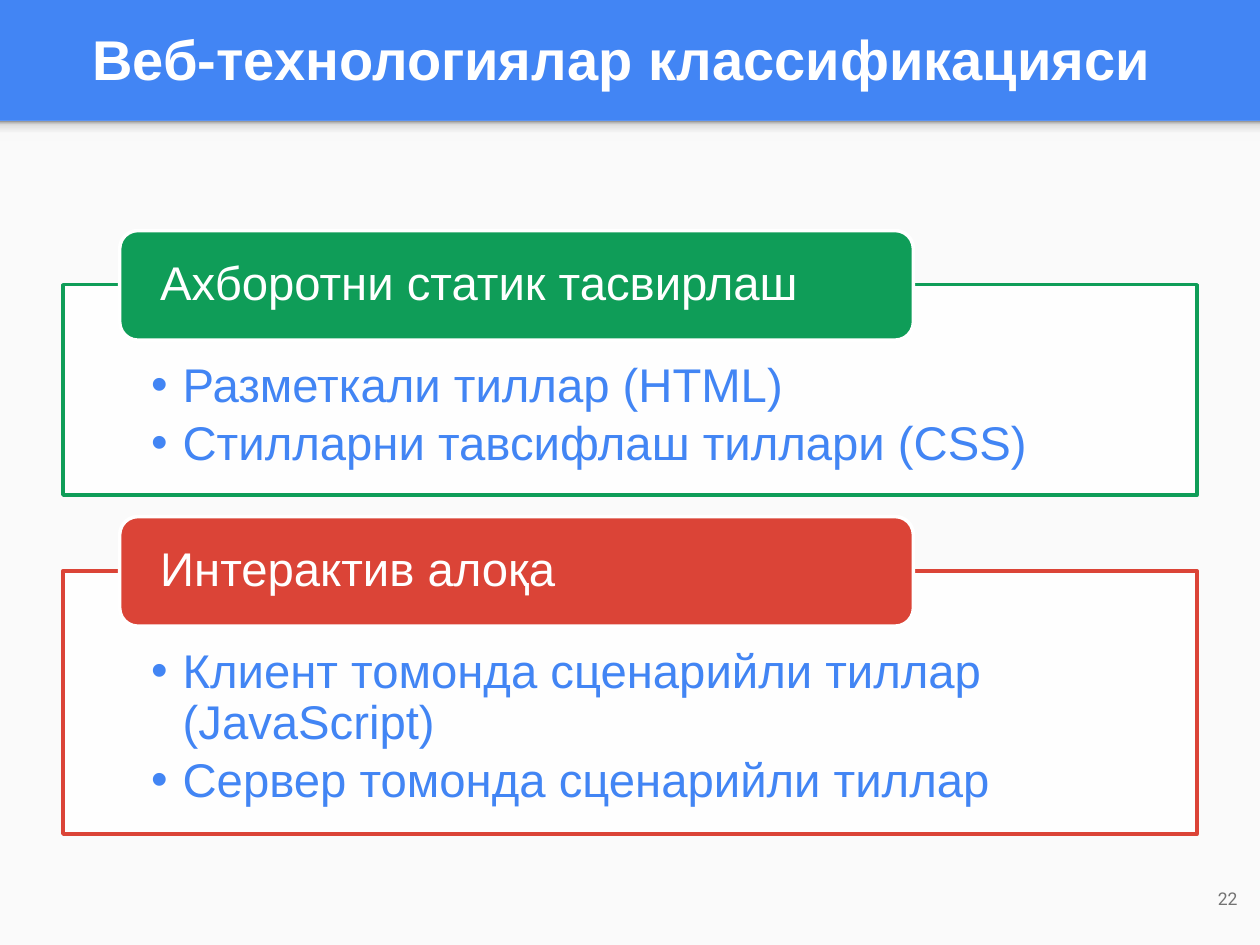
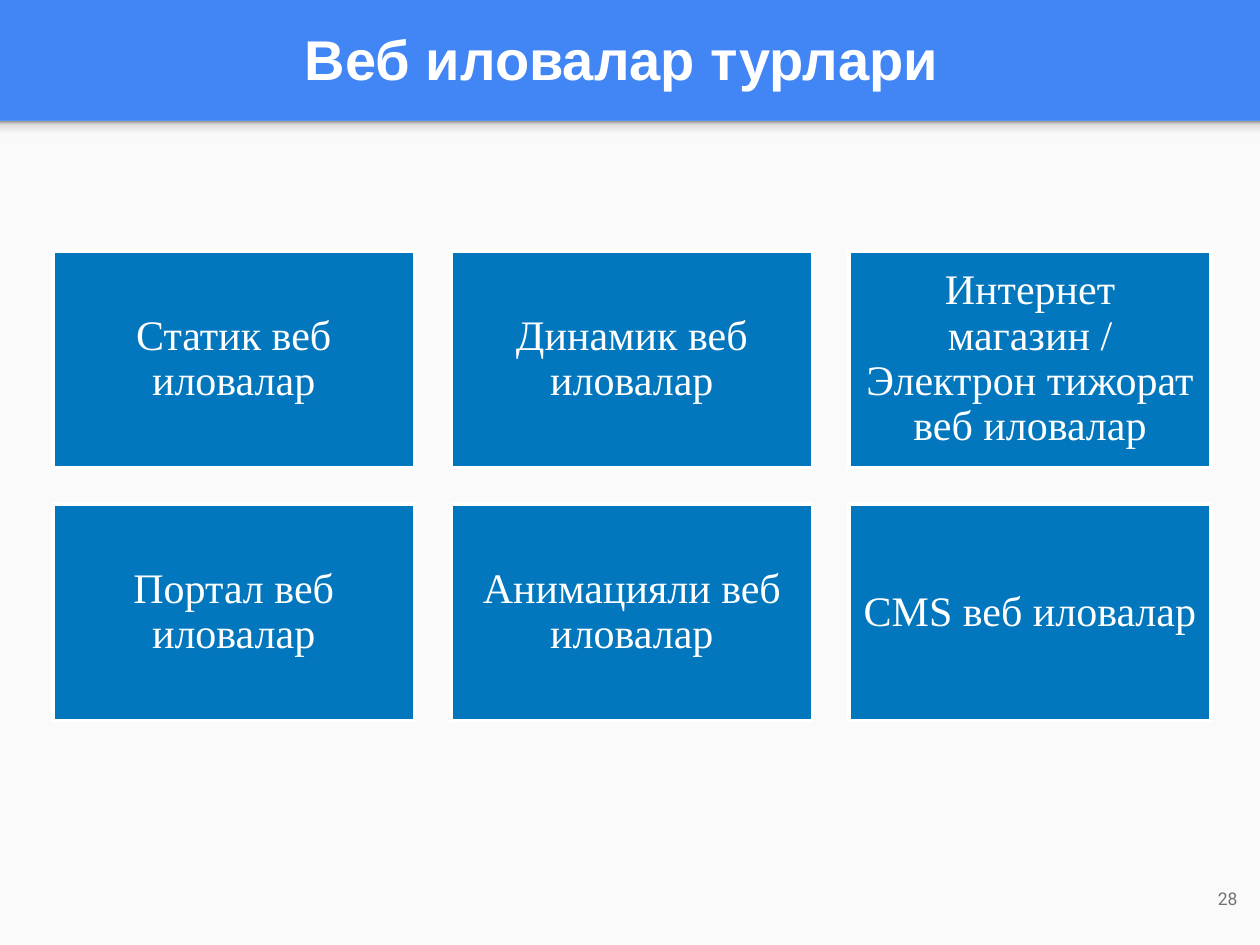
from copy import deepcopy

from lxml import etree
from pptx import Presentation
from pptx.dml.color import RGBColor
from pptx.enum import shapes, text
from pptx.oxml import ns
from pptx.util import Inches, Pt

BLUE = RGBColor(0x42, 0x85, 0xF4)
GREEN = RGBColor(0x0F, 0x9D, 0x58)
RED = RGBColor(0xDB, 0x44, 0x37)
TILE_BLUE = RGBColor(0x02, 0x77, 0xBD)
WHITE = RGBColor(0xFF, 0xFF, 0xFF)
PAPER = RGBColor(0xFA, 0xFA, 0xFA)
GREY = RGBColor(0x73, 0x73, 0x73)
SHADE_STOPS = [
    (0, RGBColor(0xF9, 0xF9, 0xF9)),
    (0.36, RGBColor(0xF9, 0xF9, 0xF9)),
    (0.8, RGBColor(0xDE, 0xDE, 0xDE)),
    (1, RGBColor(0x99, 0x99, 0x99)),
]
LEFT, CENTER, RIGHT = text.PP_ALIGN.LEFT, text.PP_ALIGN.CENTER, text.PP_ALIGN.RIGHT
RECT = shapes.MSO_SHAPE.RECTANGLE


def add_box(page, kind, left, top, width, height, fill=None, line=None):
    box = page.shapes.add_shape(
        kind, Inches(left), Inches(top), Inches(width), Inches(height))
    box.shadow.inherit = False
    if fill is not None:
        box.fill.solid()
        box.fill.fore_color.rgb = fill
    if line is None:
        box.line.fill.background()
    else:
        box.line.color.rgb = line
        box.line.width = Pt(2)
    return box


def write(box, lines, size, font="Arial", color=WHITE, bold=False, align=CENTER,
          anchor=text.MSO_ANCHOR.MIDDLE, insets=(0.1, 0.1, 0.1, 0.1),
          spacing=1.0, after=0, bullets=False):
    """Fill a shape with one paragraph per line; insets are left, top, right, bottom."""
    frame = box.text_frame
    frame.word_wrap = True
    frame.auto_size = text.MSO_AUTO_SIZE.NONE
    frame.vertical_anchor = anchor
    (frame.margin_left, frame.margin_top,
     frame.margin_right, frame.margin_bottom) = map(Inches, insets)
    for index, line in enumerate(lines):
        para = frame.add_paragraph() if index else frame.paragraphs[0]
        para.alignment = align
        para.line_spacing = spacing
        para.space_before = Pt(0)
        para.space_after = Pt(after)
        span = para.add_run()
        span.text = line
        span.font.name = font
        span.font.size = Pt(size)
        span.font.bold = bold
        span.font.color.rgb = color
        if bullets:
            props = para._p.get_or_add_pPr()
            props.set("marL", str(Inches(0.25)))
            props.set("indent", str(-Inches(0.25)))
            etree.SubElement(props, ns.qn("a:buFont"), typeface="Arial")
            etree.SubElement(props, ns.qn("a:buChar"), char="•")


deck = Presentation()
deck.slide_width, deck.slide_height = Inches(10), Inches(7.5)
title_only = deck.slide_layouts[5]

# Shared frame: blue title band, pale body, shade under the band, page number
pages = []
for heading, number in [("Веб-технологиялар классификацияси", "22"),
                        ("Веб иловалар турлари", "28")]:
    page = deck.slides.add_slide(title_only)
    page.background.fill.solid()
    page.background.fill.fore_color.rgb = BLUE

    add_box(page, RECT, 0, 0.96, 10, 6.54, PAPER)
    shade = add_box(page, RECT, 0, 0.96, 10, 0.16)
    shade.fill.gradient()
    shade.fill.gradient_angle = 90
    stop_list = shade._element.spPr.find(".//" + ns.qn("a:gsLst"))
    for _ in range(len(SHADE_STOPS) - len(stop_list)):
        stop_list.append(deepcopy(stop_list[0]))
    for stop, (position, color) in zip(shade.fill.gradient_stops, SHADE_STOPS):
        stop.position = position
        stop.color.rgb = color

    title = page.shapes.title
    title.left, title.top = Inches(0.11), Inches(0.02)
    title.width, title.height = Inches(9.65), Inches(0.88)
    write(title, [heading], 32, bold=True)

    number_box = page.shapes.add_textbox(
        Inches(9.32), Inches(6.85), Inches(0.6), Inches(0.57))
    write(number_box, [number], 10, font="Roboto", color=GREY, align=RIGHT)
    pages.append(page)

groups_page, tiles_page = pages

# Two outlined groups, each with a header tab over its top edge
groups = [
    ("Ахборотни статик тасвирлаш", GREEN, 2.26, 1.67,
     ["Разметкали тиллар (HTML)", "Стилларни тавсифлаш тиллари (CSS)"]),
    ("Интерактив алоқа", RED, 4.53, 2.09,
     ["Клиент томонда сценарийли тиллар (JavaScript)",
      "Сервер томонда сценарийли тиллар"]),
]
for header, color, top, height, items in groups:
    panel = add_box(groups_page, RECT, 0.5, top, 9, height, WHITE, color)
    panel_color = panel._element.spPr.find(ns.qn("a:solidFill"))[0]
    etree.SubElement(panel_color, ns.qn("a:alpha"), val="90000")
    write(panel, items, 27, color=BLUE, align=LEFT, anchor=text.MSO_ANCHOR.TOP,
          insets=(0.7, 0.61, 0.7, 0.21), spacing=0.9, after=4, bullets=True)
    tab = add_box(groups_page, shapes.MSO_SHAPE.ROUNDED_RECTANGLE,
                  0.95, top - 0.43, 6.3, 0.87, color, WHITE)
    write(tab, [header], 27, align=LEFT, insets=(0.28, 0, 0.28, 0), spacing=0.9)

# Grid of application types, three to a row
tiles = ["Статик веб иловалар", "Динамик веб иловалар",
         "Интернет магазин / Электрон тижорат веб иловалар",
         "Портал веб иловалар", "Анимацияли веб иловалар", "CMS веб иловалар"]
tile_width, tile_height, gap = 2.87, 1.72, 0.29
for index, label in enumerate(tiles):
    row, column = divmod(index, 3)
    tile = add_box(tiles_page, RECT, 0.42 + column * (tile_width + gap),
                   1.99 + row * (tile_height + gap),
                   tile_width, tile_height, TILE_BLUE, WHITE)
    write(tile, [label], 24, font="Times New Roman", spacing=0.9)

deck.save("out.pptx")
